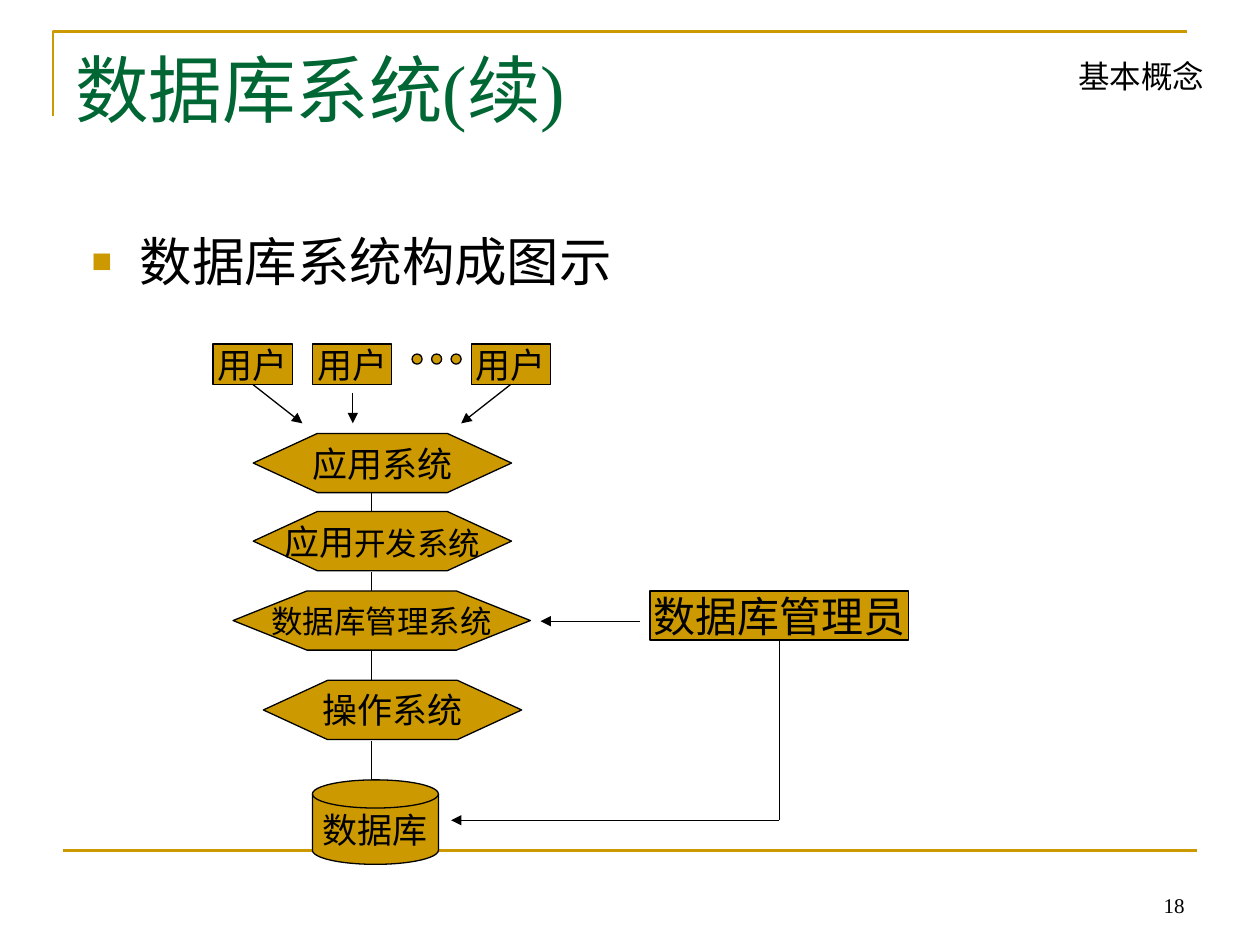
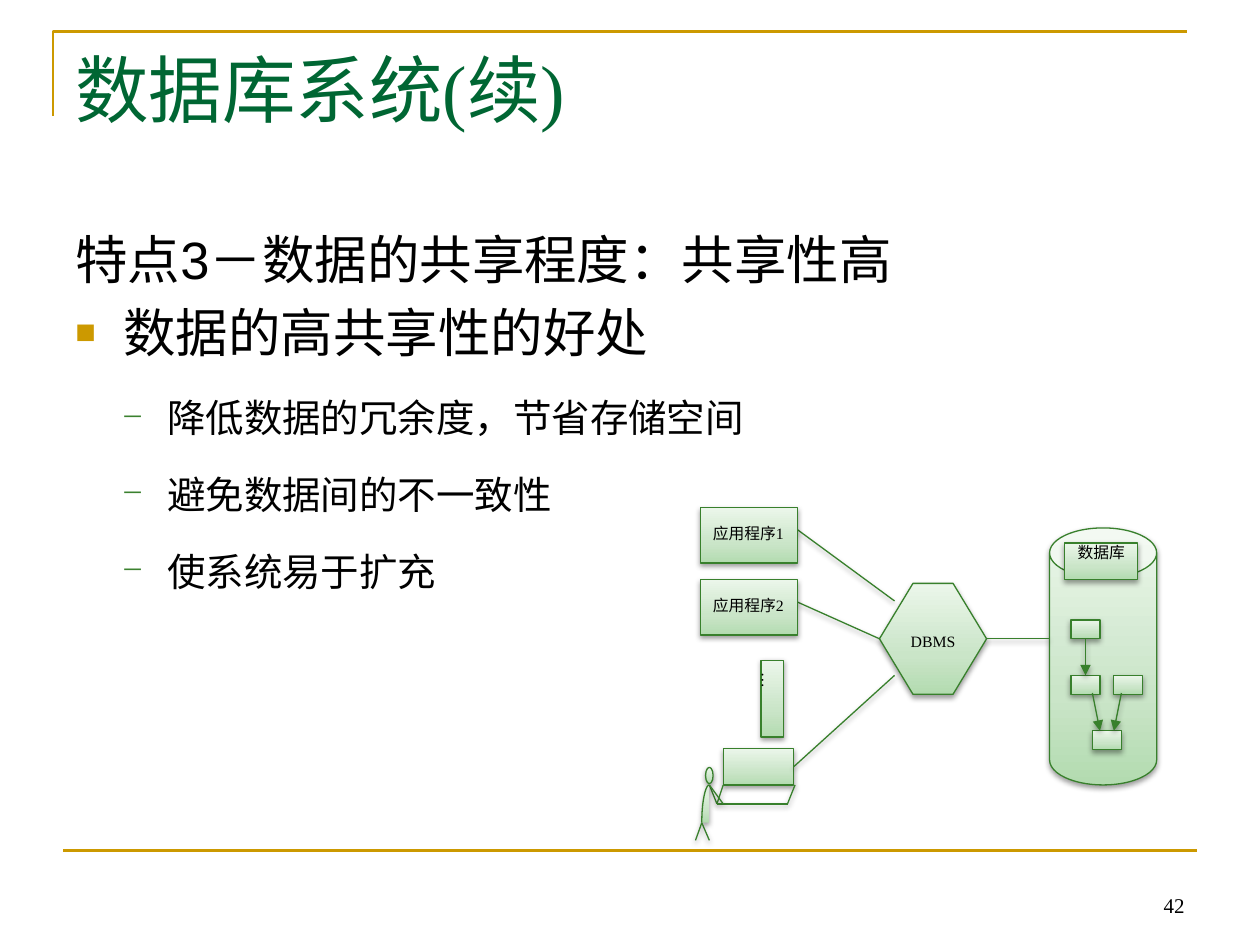
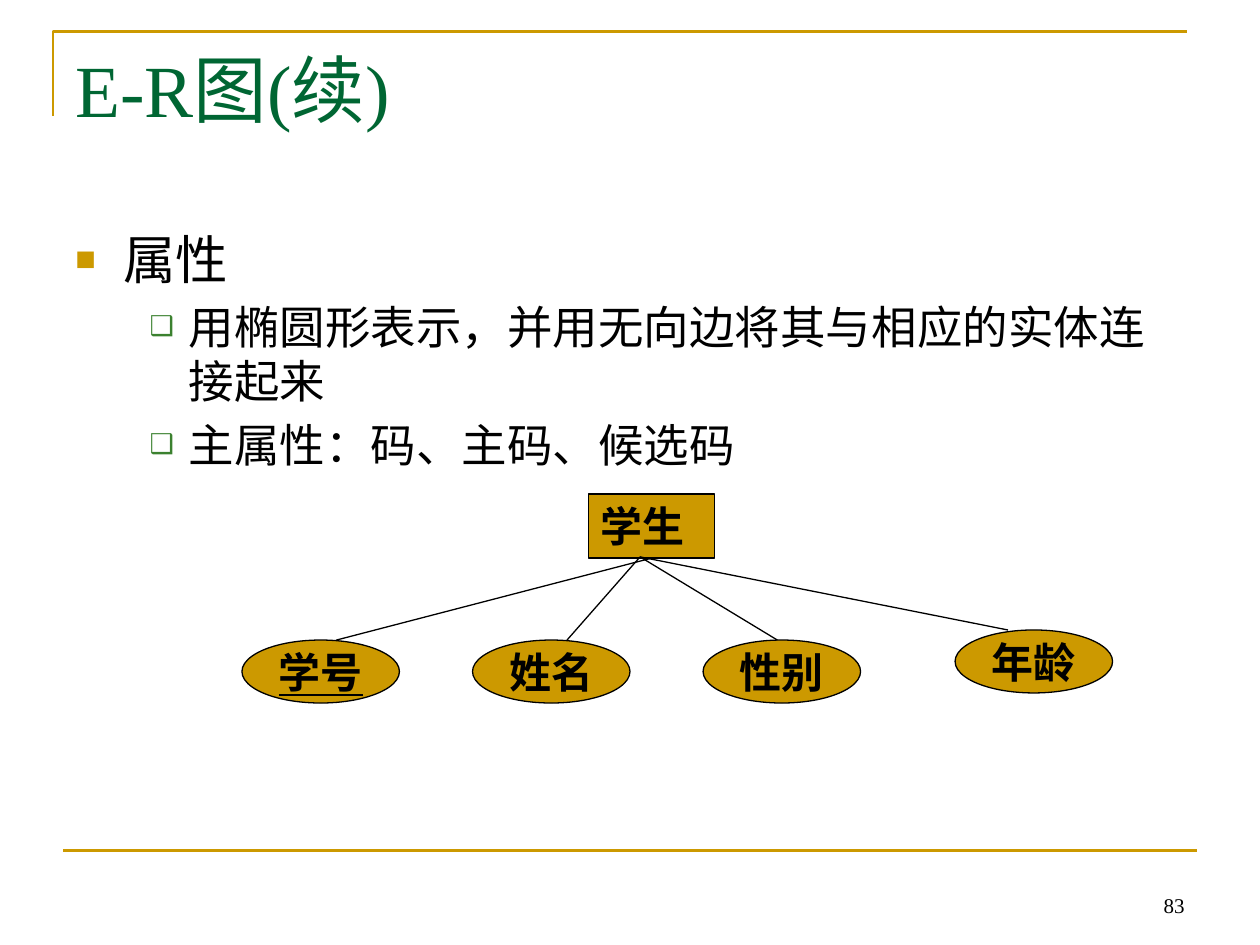
"""Build three slides on database systems and E-R diagrams."""
from copy import deepcopy
from lxml import etree
from pptx import Presentation, util as u
from pptx.dml.color import RGBColor
from pptx.enum import shapes, text
from pptx.oxml.ns import qn

HUE = {"gold": "CC9900", "title": "006633", "ink": "000000", "leaf": "3B812F",
       "edge": "38802C", "low": "B3DBB0", "mid": "CAE5C8", "high": "EBF6EA"}
FADE = [(0, "low"), (0.35, "mid"), (1, "high")]
SERIF, SANS = "Times New Roman", "Arial"
KIND = shapes.MSO_SHAPE
ALIGN, ANCHOR = text.PP_ALIGN, text.MSO_ANCHOR

MARKS = {
    "plain": dict(level=0, left=0.38, hang=0.38, size=30),
    "main": dict(level=0, left=0.38, hang=0.38, size=30, sign="■", hue="gold", pct=65),
    "dash": dict(level=1, left=0.73, hang=0.36, size=22, sign="－", hue="leaf", pct=60, gap=1.5),
    "box": dict(level=1, left=0.9, hang=0.31, size=26, sign="❑", hue="leaf", pct=60),
}
PAGE = (0.5, 1.75, 9, 4.95)
SLIDES = [
    ("数据库系统(续)", "18", (0.63, 1.77, 8.5, 4.59), [("main", "数据库系统构成图示")]),
    ("数据库系统(续)", "42", PAGE, [
        ("plain", "特点3－数据的共享程度：共享性高"), ("main", "数据的高共享性的好处"),
        ("dash", "降低数据的冗余度，节省存储空间"), ("dash", "避免数据间的不一致性"),
        ("dash", "使系统易于扩充")]),
    ("E-R图(续)", "83", PAGE, [
        ("main", "属性"), ("box", "用椭圆形表示，并用无向边将其与相应的实体连接起来"),
        ("box", "主属性：码、主码、候选码")]),
]
USERS = [1.69, 2.48, 3.74]
LAYERS = [
    (2.01, 3.44, 2.05, 1.084, [("应用系统", 20)]),
    (2.01, 4.06, 2.05, 1.084, [("应用", 20), ("开发系统", 18)]),
    (1.85, 4.69, 2.36, 1.25, [("数据库管理系统", 18)]),
    (2.09, 5.4, 2.05, 1.084, [("操作系统", 20)]),
]
STEMS = [(3.91, 4.06), (4.54, 4.69), (5.17, 5.4), (5.88, 6.19)]
DESK = [((5.63, 6.23), (5.69, 6.38)), ((5.74, 6.23), (5.69, 6.38)),
        ((6.31, 6.23), (6.25, 6.38)), ((5.69, 6.38), (6.25, 6.38))]
LIMBS = [((5.57, 6.53), (5.63, 6.67)), ((5.57, 6.53), (5.52, 6.67)),
         ((5.63, 6.23), (5.74, 6.38))]
BACK = [(5.63, 6.23), (5.6, 6.23), (5.57, 6.36), (5.57, 6.53)]
NODES = [(8.5, 4.92), (8.5, 5.36), (8.84, 5.36), (8.67, 5.8)]
APPS = [("应用程序1", 4.03), ("应用程序2", 4.6)]
TRAITS = [("学号", 1.92, 5.08, 2.67), ("姓名", 3.75, 5.08, 4.5),
          ("性别", 5.58, 5.08, 6.17), ("年龄", 7.58, 5, 8)]


def tint(name):
    return RGBColor.from_string(HUE[name])


def apply(obj, vals):
    for key, val in vals.items():
        setattr(obj, key, val)


def node(home, tag, **attrs):
    return etree.SubElement(home, qn("a:" + tag), {k: str(v) for k, v in attrs.items()})


def lead(para, pct):
    node(node(para._p.get_or_add_pPr(), "spcBef"), "spcPct", val=pct * 1000)


def write(para, runs, font=SERIF, hue="ink", **fmt):
    for words, size in runs:
        run = para.add_run()
        run.text = words
        apply(run.font, dict(name=font, size=u.Pt(size), **fmt))
        run.font.color.rgb = tint(hue)


def frame(shp, runs, align=ALIGN.LEFT, anchor=ANCHOR.TOP, wrap=True, inset=None, **fmt):
    tf = shp.text_frame
    apply(tf, dict(word_wrap=wrap, vertical_anchor=anchor))
    if inset:
        sides = ("margin_left", "margin_top", "margin_right", "margin_bottom")
        apply(tf, dict(zip(sides, map(u.Inches, inset))))
    para = tf.paragraphs[0]
    para.alignment = align
    write(para, runs, **fmt)
    return para


def label(sld, at, runs, **opts):
    return frame(sld.shapes.add_textbox(*map(u.Inches, at)), runs, **opts)


def stroke(obj, hue, width=0.75):
    obj.line.color.rgb = tint(hue)
    obj.line.width = u.Pt(width)


def cast(obj):
    glow = obj._element.spPr.find(qn("a:effectLst"))
    drop = node(glow, "outerShdw", blurRad=u.Pt(3.1), dist=u.Pt(1.6), dir=5400000, rotWithShape=0)
    node(node(drop, "srgbClr", val=HUE["ink"]), "alpha", val=38000)


def shade(shp):
    shp.fill.gradient()
    shp.fill.gradient_angle = 90
    stops = shp._element.spPr.find(".//" + qn("a:gsLst"))
    stops.insert(1, deepcopy(stops[0]))
    for stop, (pos, hue) in zip(shp.fill.gradient_stops, FADE):
        stop.position = pos
        stop.color.rgb = tint(hue)


def shape(sld, kind, at, soft=False, adj=()):
    shp = sld.shapes.add_shape(kind, *map(u.Inches, at))
    shp.shadow.inherit = False
    for pos, val in enumerate(adj):
        shp.adjustments[pos] = val
    if soft:
        shade(shp)
        cast(shp)
    else:
        shp.fill.solid()
        shp.fill.fore_color.rgb = tint("gold")
    stroke(shp, "edge" if soft else "ink")
    return shp


def block(sld, kind, at, runs, adj=(), **fmt):
    shp = shape(sld, kind, at, adj=adj)
    frame(shp, runs, align=ALIGN.CENTER, anchor=ANCHOR.MIDDLE, wrap=False, **fmt)
    return shp


def link(sld, start, stop, hue="ink", width=0.75, arrow=False, soft=False):
    """Draw a line; each end is a point or a (shape, side) pair."""
    free = [isinstance(end[0], (int, float)) for end in (start, stop)]
    spots = [val for end, ok in zip((start, stop), free) for val in (end if ok else (0, 0))]
    line = sld.shapes.add_connector(shapes.MSO_CONNECTOR.STRAIGHT, *map(u.Inches, spots))
    if not free[0]:
        line.begin_connect(*start)
    if not free[1]:
        line.end_connect(*stop)
    stroke(line, "edge" if soft else hue, width)
    prop = line._element.spPr
    if arrow:
        node(prop.find(qn("a:ln")), "tailEnd", type="triangle")
    node(prop, "effectLst")
    if soft:
        cast(line)


def path(sld, dots, close=False):
    pts = [tuple(map(u.Inches, dot)) for dot in dots]
    pen = sld.shapes.build_freeform(*pts[0])
    pen.add_line_segments(pts[1:], close=close)
    shp = pen.convert_to_shape()
    shp.shadow.inherit = False
    shp.fill.background()
    return shp


def body(sld, at, items):
    tf = sld.shapes.add_textbox(*map(u.Inches, at)).text_frame
    tf.word_wrap = True
    for pos, (kind, words) in enumerate(items):
        mark = MARKS[kind]
        para = tf.add_paragraph() if pos else tf.paragraphs[0]
        apply(para, dict(level=mark["level"], line_spacing=mark.get("gap", 1.0)))
        prop = para._p.get_or_add_pPr()
        prop.set("marL", str(u.Inches(mark["left"])))
        prop.set("indent", str(-u.Inches(mark["hang"])))
        lead(para, 20)
        if "sign" in mark:
            node(node(prop, "buClr"), "srgbClr", val=HUE[mark["hue"]])
            node(prop, "buSzPct", val=mark["pct"] * 1000)
            node(prop, "buFont", typeface=SANS)
            node(prop, "buChar", char=mark["sign"])
        write(para, [(words, mark["size"])], font=SANS)


def base(prs, title, num, at, items):
    sld = prs.slides.add_slide(prs.slide_layouts[6])
    stroke(path(sld, [(0.42, 0.92), (0.42, 0.25), (9.42, 0.25)]), "gold", 1.5)
    link(sld, (0.5, 6.75), (9.5, 6.75), "gold", 1.5)
    label(sld, (0.5, 0.3, 9, 1.25), [(title, 42)], hue="title")
    body(sld, at, items)
    label(sld, (7.17, 6.83, 2.33, 0.5), [(num, 12)], align=ALIGN.RIGHT, anchor=ANCHOR.BOTTOM)
    return sld


def stack(sld):
    users = [block(sld, KIND.RECTANGLE, (x, 2.73, 0.63, 0.32), [("用户", 20)]) for x in USERS]
    for pos in range(3):
        shape(sld, KIND.OVAL, (3.27 + pos * 0.155, 2.81, 0.08, 0.08))
    for x, y, wide, adj, runs in LAYERS:
        block(sld, KIND.HEXAGON, (x, y, wide, 0.47), runs, adj=(adj, 1.155))
    block(sld, KIND.FLOWCHART_MAGNETIC_DISK, (2.48, 6.19, 1, 0.67), [("数据库", 20)])
    admin = block(sld, KIND.RECTANGLE, (5.16, 4.69, 2.05, 0.39), [("数据库管理员", 24)])
    for start, stop in [((users[0], 2), (2.4, 3.36)), ((2.8, 3.12), (2.8, 3.36)),
                        ((users[2], 2), (3.66, 3.36)), ((5.08, 4.93), (4.29, 4.93)),
                        ((6.185, 6.51), (3.58, 6.51))]:
        link(sld, start, stop, arrow=True)
    for top, low in STEMS:
        link(sld, (2.95, top), (2.95, low))
    link(sld, (admin, 2), (6.185, 6.51))
    label(sld, (8.46, 0.4, 1.21, 0.4), [("基本概念", 18)], font=SANS, wrap=False)


def curve(ends, steps=10):
    a, b, c, d = ends
    for pos in range(steps + 1):
        t = pos / steps
        s = 1 - t
        yield tuple(s**3 * a[i] + 3 * s * s * t * b[i] + 3 * s * t * t * c[i] + t**3 * d[i]
                    for i in (0, 1))


def person(sld):
    for start, stop in DESK:
        link(sld, start, stop, soft=True)
    shape(sld, KIND.FLOWCHART_CONNECTOR, (5.6, 6.09, 0.06, 0.13), soft=True)
    bend = list(curve(BACK))
    torso = path(sld, bend + [(5.63, 6.53)], close=True)
    shade(torso)
    cast(torso)
    torso.line.fill.background()
    stroke(path(sld, bend), "edge")
    for start, stop in LIMBS:
        link(sld, start, stop, soft=True)


def share(sld):
    screen = shape(sld, KIND.RECTANGLE, (5.74, 5.94, 0.56, 0.29), soft=True)
    person(sld)
    hub = shape(sld, KIND.HEXAGON, (6.98, 4.63, 0.85, 0.88), soft=True, adj=(0.313, 1.155))
    frame(hub, [("DBMS", 9)], align=ALIGN.CENTER, inset=(0, 0.21, 0, 0.05))
    shape(sld, KIND.CAN, (8.33, 4.19, 0.85, 2.04), soft=True, adj=(0.466,))
    nodes = [shape(sld, KIND.RECTANGLE, (x, y, 0.23, 0.15), soft=True) for x, y in NODES]
    for start, stop in [((nodes[0], 2), (nodes[1], 0)), ((8.67, 5.5), (8.73, 5.8)),
                        ((8.9, 5.5), (8.84, 5.8))]:
        link(sld, start, stop, arrow=True, soft=True)
    for start, stop in [((7.83, 5.07), (8.33, 5.07)), ((6.31, 4.19), (7.1, 4.77)),
                        ((6.31, 4.77), (6.98, 5.07)), ((screen, 3), (7.1, 5.36))]:
        link(sld, start, stop, soft=True)
    for name, y in APPS:
        app = shape(sld, KIND.RECTANGLE, (5.56, y, 0.77, 0.44), soft=True)
        frame(app, [(name, 9)], align=ALIGN.JUSTIFY, inset=(0.1, 0.13, 0.1, 0.05))
    store = shape(sld, KIND.RECTANGLE, (8.45, 4.31, 0.58, 0.29), soft=True)
    frame(store, [("数据库", 9)], align=ALIGN.CENTER, inset=(0, 0, 0, 0))
    more = shape(sld, KIND.RECTANGLE, (6.04, 5.24, 0.18, 0.61), soft=True)
    lead(frame(more, [("…", 9)]), 50)
    more.text_frame._txBody.bodyPr.set("vert", "eaVert")


def entity(sld):
    root = shape(sld, KIND.RECTANGLE, (4.67, 3.92, 1, 0.51))
    lead(frame(root, [("学生", 24)], bold=True), 50)
    for pos, (name, x, y, tip) in enumerate(TRAITS):
        block(sld, KIND.OVAL, (x, y, 1.25, 0.5), [(name, 24)], bold=True, underline=pos == 0)
        link(sld, (5.08, 4.42) if pos else (root, 2), (tip, y))


def main():
    prs = Presentation()
    apply(prs, dict(slide_width=u.Inches(10), slide_height=u.Inches(7.5)))
    for parts, draw in zip(SLIDES, (stack, share, entity)):
        draw(base(prs, *parts))
    prs.save("out.pptx")


if __name__ == "__main__":
    main()
